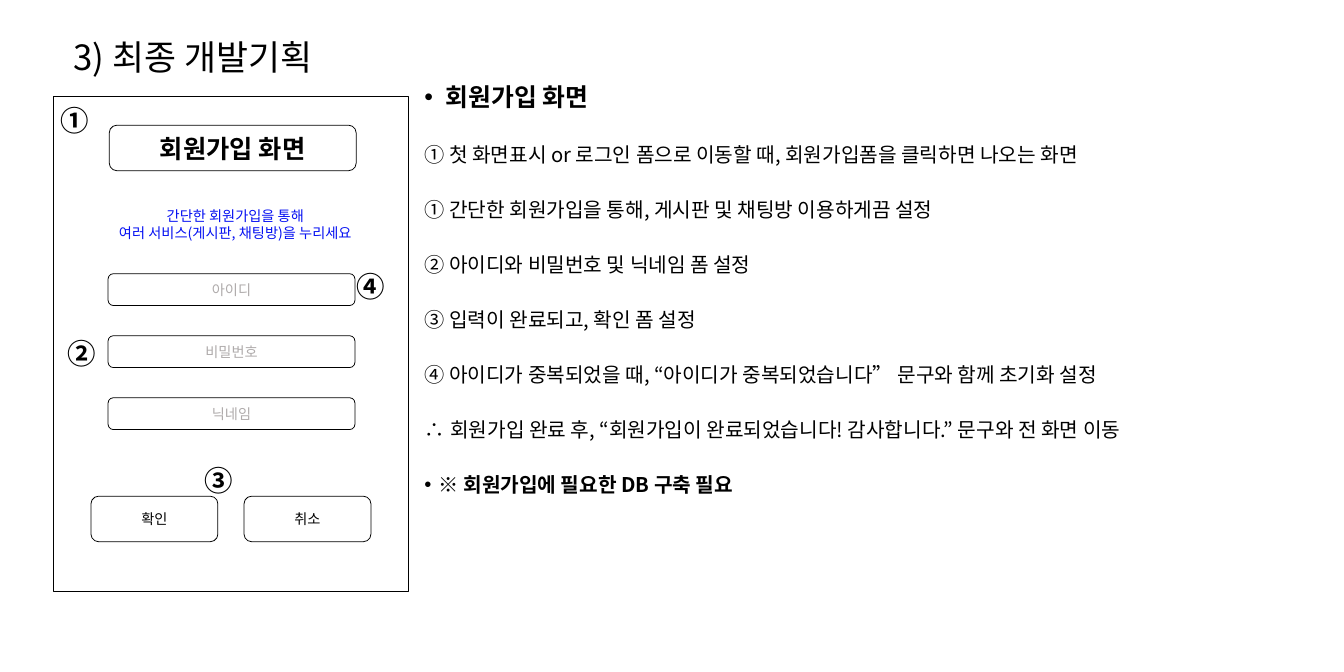
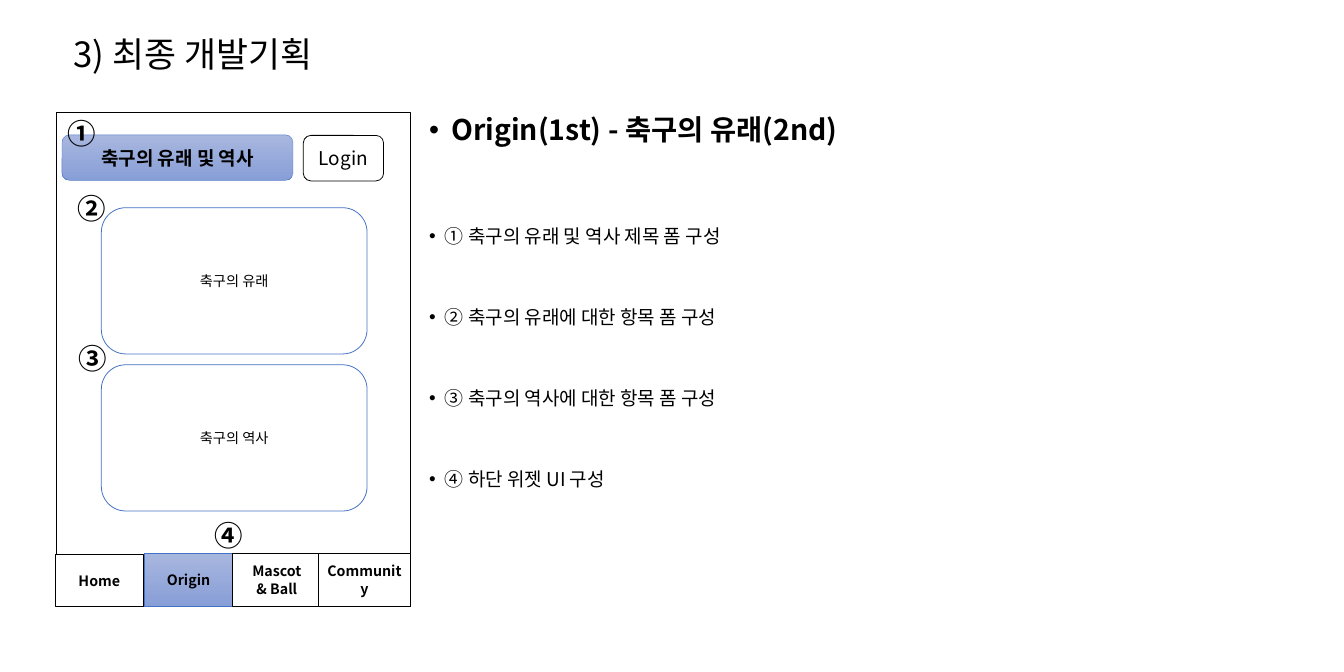
from lxml.etree import SubElement as Sub
from pptx import Presentation
from pptx.dml.color import RGBColor
from pptx.enum.shapes import MSO_SHAPE as Kind
from pptx.enum.text import MSO_ANCHOR as Anchor, MSO_AUTO_SIZE as Fit, PP_ALIGN as Align
from pptx.oxml.ns import qn
from pptx.util import Inches, Pt

FONT = "Noto Sans CJK KR"
BLACK, WHITE, GREY = "000000", "FFFFFF", "AFABAB"
BLUE, NOTE = "4472C4", "0611F2"
SHADE = ("A8B7DF", "889ED7")
TITLE = "3) 최종 개발기획"
ROUND, RECT = Kind.ROUNDED_RECTANGLE, Kind.RECTANGLE


def rgb(code):
    return RGBColor.from_string(code)


def write(frame, text, size, bold=False, color=BLACK, align=Align.LEFT):
    """Fill a frame: a line break starts a paragraph, a bar starts a run."""
    frame.word_wrap = True
    frame.text = ""
    for i, line in enumerate(text.split("\n")):
        para = frame.add_paragraph() if i else frame.paragraphs[0]
        para.alignment = align
        for part in line.split("|"):
            run = para.add_run()
            run.text = part
            face = "Arial" if part.startswith("∴") else FONT
            run.font.color.rgb = rgb(color)
            for key, val in {"size": Pt(size), "bold": bold, "name": face}.items():
                setattr(run.font, key, val)
            Sub(run.font._element, qn("a:ea"), typeface=face)


# Boxes are left, top, width, height in percent of the slide.
# List items are text, size, bold, space before, hanging indent (0: no bullet).
notes = [
    "① 첫 화면표시 or 로그인 폼으로 이동할 때, 회원가입폼을 클릭하면 나오는 화면",
    "① 간단한 회원가입을 통해, 게시판 및 채팅방 이용하게끔 설정",
    "② 아이디와 비밀번호 및 닉네임 폼 설정",
    "③ 입력이 완료되고, 확인 폼 설정",
    "④ 아이디가 중복되었을 때, “아이디가 중복되었습니다” 문구와 함께 초기화 설정",
    "∴ |회원가입 완료 후, “회원가입이 완료되었습니다! 감사합니다.” 문구와 전 화면 이동",
]
parts = [
    "① 축구의 유래 및 역사 제목 폼 구성",
    "② 축구의 유래에 대한 항목 폼 구성",
    "③ 축구의 역사에 대한 항목 폼 구성",
    "④ 하단 위젯 UI 구성",
]
pages = [
    {  # Sign-up screen
        "top": 3.05,
        "body": (31.16, 12.19, 60.84, 80.27),
        "list": [("회원가입 화면", 31.4, True, 0, 0.37)]
        + [(t, 25.6, False, 42, 0) for t in notes]
        + [("※ 회원가입에 필요한 DB 구축 필요", 25.6, True, 42, 0.25)],
        "frame": (3.98, 14.39),
        "forms": [
            {"box": (8.13, 18.63, 18.37, 6.77), "text": "회원가입 화면", "size": 32, "bold": True},
            {"box": (7.45, 30.48, 20.11, 6.01), "color": NOTE, "bare": True,
             "text": "간단한 회원가입을 통해\n여러 서비스(게시판, 채팅방)을 누리세요"},
        ]
        + [{"box": (8.04, 40.73 + 9.23 * i, 18.37, 4.74), "text": t, "color": GREY}
           for i, t in enumerate(("아이디", "비밀번호", "닉네임"))]
        + [{"box": (6.77 + 11.39 * i, 73.84, 9.44, 6.77), "text": t}
           for i, t in enumerate(("확인", "취소"))],
        "marks": {"①": (4.49, 15.33), "②": (5.04, 49.96),
                  "③": (15.24, 68.92), "④": (26.5, 40.05)},
    },
    {  # Origin screen
        "top": 2.71,
        "body": (31.5, 16.77, 60.88, 78.49),
        "list": [("Origin(1st) - 축구의 유래(2nd)", 36, True, 0, 0.39)]
        + [(t, 24, False, 76.5 if i else 102.5, 0.28) for i, t in enumerate(parts)],
        "frame": (4.19, 16.68),
        "forms": [
            {"box": (4.61, 20.07, 17.19, 6.77), "text": "축구의 유래 및 역사",
             "size": 24, "bold": True, "fill": SHADE},
            {"box": (22.57, 20.15, 5.97, 6.77), "text": "Login", "size": 24},
        ]
        + [{"box": (x, y, w, 90.26 - y), "text": t, "bold": True, "kind": RECT, "fill": f}
           for x, y, w, t, f in (
               (4.11, 82.47, 6.56, "Home", WHITE),
               (10.75, 82.3, 6.56, "Origin", SHADE),
               (17.32, 82.3, 6.56, "Mascot\n& Ball", WHITE),
               (23.71, 82.3, 6.82, "Community", WHITE))]
        + [{"box": (7.54, 30.91 + 23.37 * i, 19.77, 21.76), "text": t, "line": BLUE}
           for i, t in enumerate(("축구의 유래", "축구의 역사"))],
        "marks": {"①": (5, 17.27), "②": (5.76, 28.37),
                  "③": (5.84, 50.8), "④": (15.96, 77.05)},
    },
]

deck = Presentation()
deck.slide_width, deck.slide_height = Inches(23.62), Inches(11.81)
COL, ROW = deck.slide_width / 100, deck.slide_height / 100
UNITS = (COL, ROW, COL, ROW)

for page in pages:
    slide = deck.slides.add_slide(deck.slide_layouts[1])
    shapes = slide.shapes

    # Title and list placeholders
    title, body = shapes.title, slide.placeholders[1]
    for item, box in ((title, (5.04, page["top"], 86.28, 11.43)), (body, page["body"])):
        spot = [int(n * u) for n, u in zip(box, UNITS)]
        for key, val in zip(("left", "top", "width", "height"), spot):
            setattr(item, key, val)
        item.text_frame.auto_size = Fit.NONE
    write(title.text_frame, TITLE, 44)
    title.text_frame.vertical_anchor = Anchor.MIDDLE
    title.text_frame.paragraphs[0].line_spacing = 0.9

    frame = body.text_frame
    write(frame, "\n".join(row[0] for row in page["list"]), 24)
    for para, (_, size, bold, gap, dent) in zip(frame.paragraphs, page["list"]):
        props = para._p.get_or_add_pPr()
        props.set("marL", str(Inches(dent)))
        props.set("indent", str(-Inches(dent)))
        if dent:
            Sub(props, qn("a:buFont"), typeface="Arial")
            Sub(props, qn("a:buChar"), char="•")
        else:
            Sub(props, qn("a:buNone"))
        para.line_spacing, para.space_before = 0.9, Pt(gap)
        for run in para.runs:
            run.font.size, run.font.bold = Pt(size), bold

    # Phone frame and the forms on it
    phone = {"box": (*page["frame"], 26.38, 73.58), "kind": RECT}
    for form in [phone] + page["forms"]:
        spot = [int(n * u) for n, u in zip(form["box"], UNITS)]
        if form.get("bare"):
            shape = shapes.add_textbox(*spot)
        else:
            shape = shapes.add_shape(form.get("kind", ROUND), *spot)
            shape.shadow.inherit = False
            fill = form.get("fill", WHITE)
            if fill == SHADE:
                shape.fill.gradient()
                shape.fill.gradient_angle = 270
                for stop, code in zip(shape.fill.gradient_stops, SHADE):
                    stop.color.rgb = rgb(code)
            else:
                shape.fill.solid()
                shape.fill.fore_color.rgb = rgb(fill)
            edge = BLUE if fill == SHADE else form.get("line", BLACK)
            shape.line.color.rgb = rgb(edge)
            shape.line.width = Pt(0.5 if fill == SHADE else 1)
            shape.text_frame.vertical_anchor = Anchor.MIDDLE
        if "text" in form:
            write(shape.text_frame, form["text"], form.get("size", 18),
                  form.get("bold", False), form.get("color", BLACK), Align.CENTER)

    # Numbered marks
    for sign, (x, y) in page["marks"].items():
        mark = shapes.add_textbox(*[int(n * u) for n, u in zip((x, y, 4.06, 5.17), UNITS)])
        for side in ("left", "top", "right", "bottom"):
            setattr(mark.text_frame, "margin_" + side, 0)
        write(mark.text_frame, sign, 36, True)

deck.save("out.pptx")
